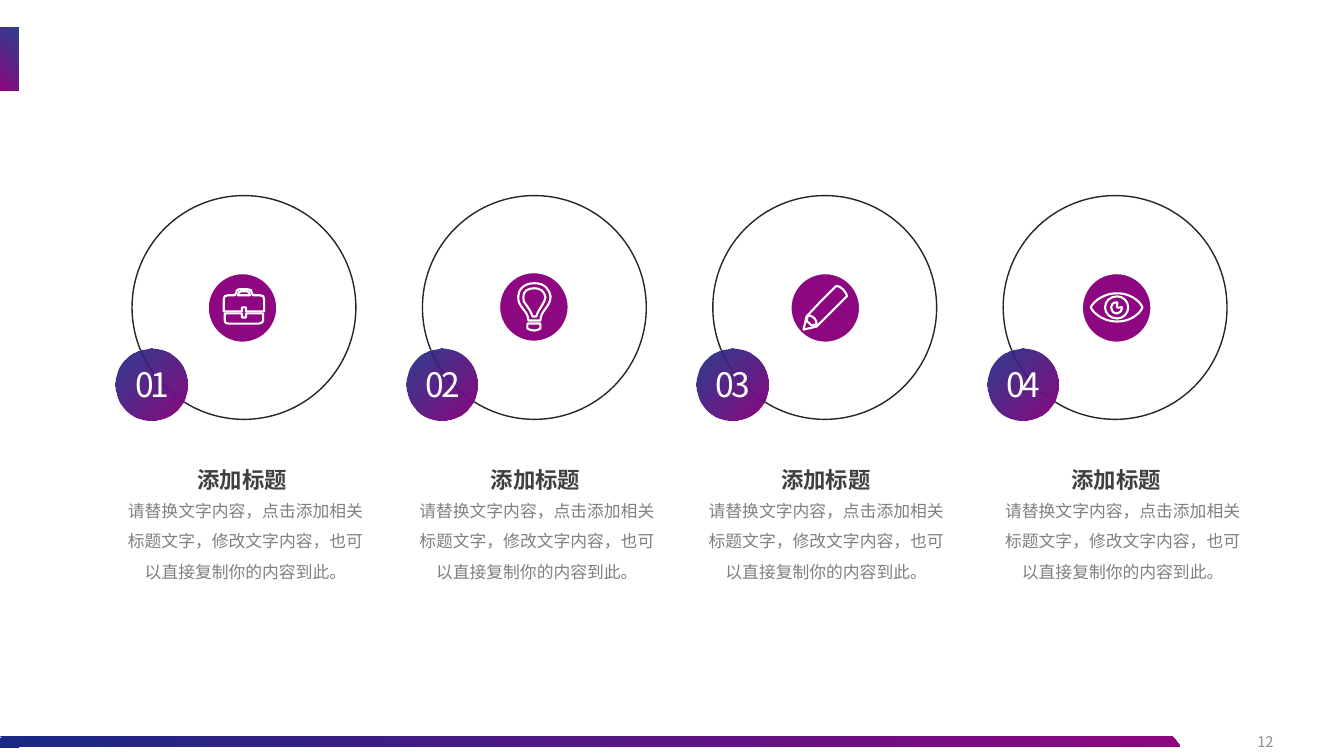
import pptx
import pptx.util
import pptx.dml.color
import pptx.enum.shapes
import pptx.enum.text
import pptx.oxml.ns
from lxml import etree

Inches = pptx.util.Inches
Pt = pptx.util.Pt
KIND = pptx.enum.shapes.MSO_SHAPE
ALIGN = pptx.enum.text.PP_ALIGN
ANCHOR = pptx.enum.text.MSO_ANCHOR
FIT = pptx.enum.text.MSO_AUTO_SIZE
qn = pptx.oxml.ns.qn

FONT = "Noto Sans CJK SC"
NAVY, PLUM, WHITE = "182983", "8D0780", "FFFFFF"
STEP = 2.88
BODY = "请替换文字内容，点击添加相关标题文字，修改文字内容，也可以直接复制你的内容到此。"

CASE = [
    [(18, 18), (22, 18), (22, 22), (40, 22), (40, 10), (40, 7, 39, 6, 36, 6),
     (29, 6), (28, 4, 27, 2, 27, 1), (26, 0, 26, 0, 24, 0), (15, 0),
     (14, 0, 14, 0, 13, 1), (13, 2, 12, 4, 11, 6), (4, 6),
     (1, 6, 0, 7, 0, 10), (0, 22), (18, 22)],
    [(15, 3), (16, 3, 16, 2, 17, 2), (23, 2), (24, 2, 24, 3, 25, 3),
     (25, 4, 25, 5, 26, 6), (14, 6), (14, 5, 15, 4, 15, 3)],
    [(22, 28), (18, 28), (18, 24), (1, 24), (1, 31), (1, 32, 1, 34, 5, 34),
     (35, 34), (38, 34, 39, 32, 39, 31), (39, 24), (22, 24)],
]
BULB = [
    [(10, 45), (12, 46, 14, 47, 17, 47), (19, 47, 21, 46, 23, 45), (23, 40), (10, 40)],
    [(23, 37), (23, 27, 33, 24, 33, 13), (32, 7, 28, 0, 17, 0),
     (6, 0, 1, 7, 1, 13), (0, 24, 11, 27, 11, 37)],
    [(6, 14), (6, 8, 10, 5, 17, 5), (23, 5, 27, 8, 28, 14),
     (28, 17, 26, 19, 24, 23), (22, 26, 20, 29, 19, 33), (15, 33),
     (14, 29, 12, 26, 10, 23), (7, 19, 5, 17, 6, 14)],
]
PENCIL = [
    [(39, 4), (35, 0, 32, 1, 32, 1), (18, 15), (3, 31), (0, 44), (13, 41),
     (29, 25), (43, 11), (43, 11, 43, 8, 39, 4)],
    [(12, 39), (8, 40), (7, 39, 7, 39, 6, 38), (5, 37, 4, 36, 3, 36), (4, 31),
     (5, 30), (5, 30, 8, 30, 11, 33), (13, 36, 13, 38, 13, 38)],
]
EYE = [
    [(26, 0), (9, 0, 0, 12, 0, 14), (0, 16, 9, 28, 26, 28),
     (43, 28, 51, 16, 51, 14), (51, 12, 43, 0, 26, 0)],
    [(26, 25), (19, 25, 14, 20, 14, 14), (14, 8, 19, 3, 26, 3),
     (32, 3, 37, 8, 37, 14), (37, 20, 32, 25, 26, 25)],
    [(26, 14), (25, 13, 27, 9, 26, 9), (22, 9, 20, 11, 20, 14),
     (20, 17, 22, 20, 26, 20), (29, 20, 31, 17, 31, 14), (31, 13, 27, 15, 26, 14)],
]


def tint(code):
    return pptx.dml.color.RGBColor.from_string(code)


class Deck:
    def __init__(self):
        self.show = pptx.Presentation()
        self.show.slide_width = Inches(13.33)
        self.show.slide_height = Inches(7.5)
        self.slide = self.show.slides.add_slide(self.show.slide_layouts[6])

    def paint(self, shape, fill, line, width):
        shape.shadow.inherit = False
        if fill:
            shape.fill.solid()
            shape.fill.fore_color.rgb = tint(fill)
        else:
            shape.fill.background()
        if line:
            shape.line.color.rgb = tint(line)
            shape.line.width = Pt(width)
        else:
            shape.line.fill.background()

    def shape(self, kind, left, top, wide, high, fill=None, line=None, width=1, flip=False):
        shape = self.slide.shapes.add_shape(
            kind, Inches(left), Inches(top), Inches(wide), Inches(high))
        self.paint(shape, fill, line, width)
        if flip:
            shape._element.spPr.find(qn("a:xfrm")).set("flipH", "1")
        return shape

    def blend(self, shape, angle, clear=False):
        shape.fill.gradient()
        shape.fill.gradient_angle = 360 - angle
        for stop, code in zip(shape.fill.gradient_stops, (NAVY, PLUM)):
            stop.color.rgb = tint(code)
        if clear:
            first = next(shape._element.spPr.iter(qn("a:srgbClr")))
            etree.SubElement(first, qn("a:alpha")).set("val", "90000")

    def icon(self, loops, left, top):
        def place(dot):
            return Inches(left + dot[0] / 100), Inches(top + dot[1] / 100)

        pen = self.slide.shapes.build_freeform(*place(loops[0][0]), scale=1.0)
        for n, loop in enumerate(loops):
            if n:
                pen.move_to(*place(loop[0]))
            pen.add_line_segments([place(part[-2:]) for part in loop[1:]], close=False)
            pen.add_line_segments([], close=True)
        shape = pen.convert_to_shape()
        self.paint(shape, None, WHITE, 1.5)
        parts = [part for loop in loops for part in loop[1:]]
        for node, part in zip(list(shape._element.iter(qn("a:lnTo"))), parts):
            if len(part) == 6:
                node.tag = qn("a:cubicBezTo")
                for spot, n in enumerate((0, 2)):
                    x, y = place(part[n:n + 2])
                    knob = etree.Element(qn("a:pt"))
                    knob.set("x", str(x - shape.left))
                    knob.set("y", str(y - shape.top))
                    node.insert(spot, knob)

    def text(self, words, left, top, wide, high, size, color, align=ALIGN.LEFT,
             bold=False, space=None, wrap=True, grow=True, track=None, anchor=ANCHOR.TOP):
        box = self.slide.shapes.add_textbox(
            Inches(left), Inches(top), Inches(wide), Inches(high))
        frame = box.text_frame
        frame.word_wrap = wrap
        frame.auto_size = FIT.SHAPE_TO_FIT_TEXT if grow else FIT.NONE
        frame.vertical_anchor = anchor
        if track:
            frame.margin_left = frame.margin_right = Inches(0.05)
            frame.margin_top = frame.margin_bottom = Inches(0.04)
        para = frame.paragraphs[0]
        para.alignment = align
        if space:
            para.line_spacing = space
        run = para.add_run()
        run.text = words
        font = run.font
        font.name = FONT
        font.size = Pt(size)
        font.bold = bold
        font.color.rgb = tint(color)
        props = run._r.get_or_add_rPr()
        etree.SubElement(props, qn("a:ea")).set("typeface", FONT)
        if track:
            props.set("spc", str(track * 100))


def main():
    deck = Deck()
    tab = deck.shape(KIND.RECTANGLE, 0, 0.27, 0.18, 0.63)
    deck.blend(tab, 135, clear=True)
    deck.text("12", 9.73, 7.16, 3, 0.4, 10.5, "8C8C8C", ALIGN.RIGHT,
              grow=False, anchor=ANCHOR.MIDDLE)
    bar = deck.shape(KIND.PARALLELOGRAM, 0, 7.3, 11.71, 0.11, flip=True)
    bar.adjustments[0] = 0.775
    deck.blend(bar, 180)
    deck.shape(KIND.RECTANGLE, 0, 7.32, 0.19, 0.1, fill="1A2983")

    items = [
        (1.86, 1.14, 2.71, CASE, 2.22, 2.87),
        (4.77, 4.03, 2.7, BULB, 5.13, 2.81),
        (7.65, 6.9, 2.71, PENCIL, 7.97, 2.83),
        (10.53, 9.84, 2.71, EYE, 10.82, 2.91),
    ]
    for n, (head, body, disc, loops, left, top) in enumerate(items):
        move = n * STEP
        deck.text("添加标题", head, 4.51, 1.1, 0.41, 16, "404040",
                  bold=True, space=Pt(24), wrap=False)
        deck.text(BODY, body, 4.82, 2.59, 1.01, 12, "808080", ALIGN.CENTER, space=1.5)
        deck.shape(KIND.OVAL, 1.31 + move, 1.94, 2.22, 2.22, line="262626", flip=True)
        badge = deck.shape(KIND.OVAL, 1.15 + move, 3.46, 0.71, 0.71, flip=True)
        deck.blend(badge, 135, clear=True)
        deck.text(f"{n + 1:02}", 1.25 + move, 3.57, 0.52, 0.49, 24, WHITE,
                  ALIGN.CENTER, wrap=False, track=-2)
        deck.shape(KIND.OVAL, 2.06 + 2.89 * n, disc, 0.69, 0.69, PLUM, WHITE, 1.5)
        deck.icon(loops, left, top)
    deck.show.save("out.pptx")


if __name__ == "__main__":
    main()
